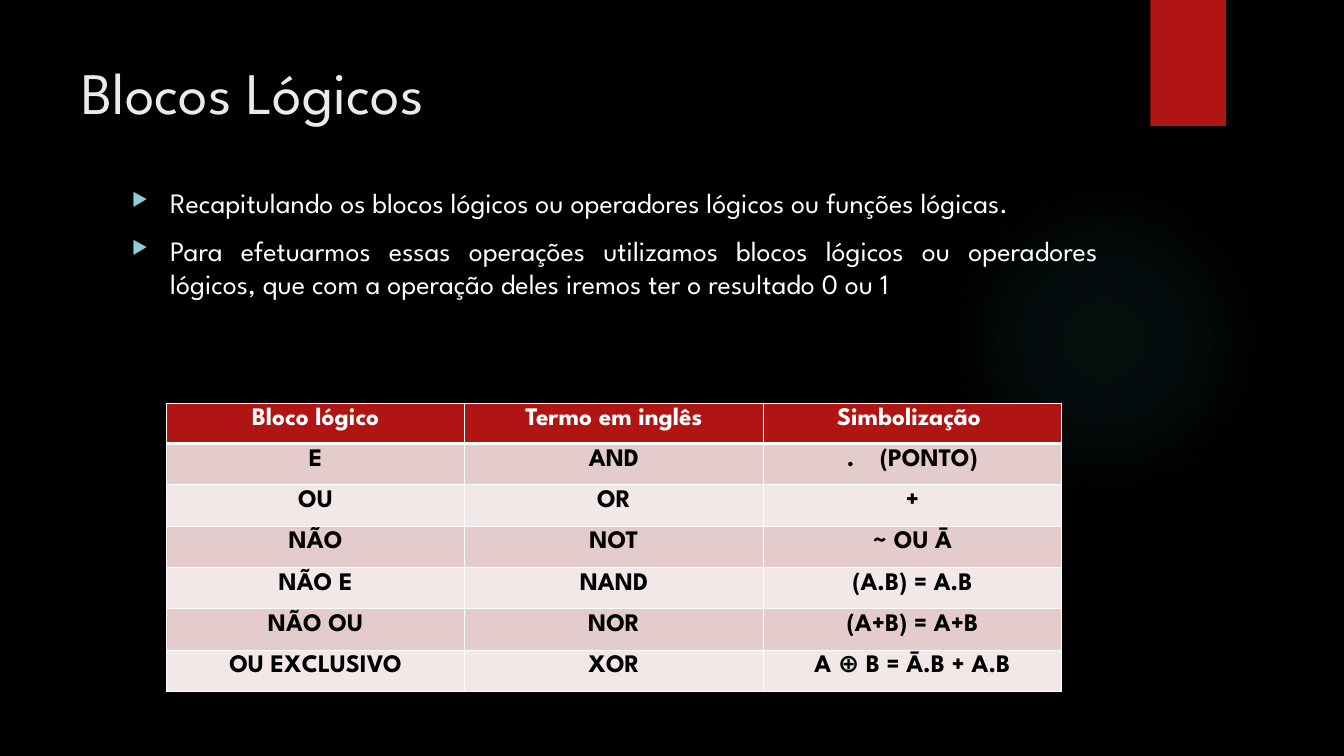
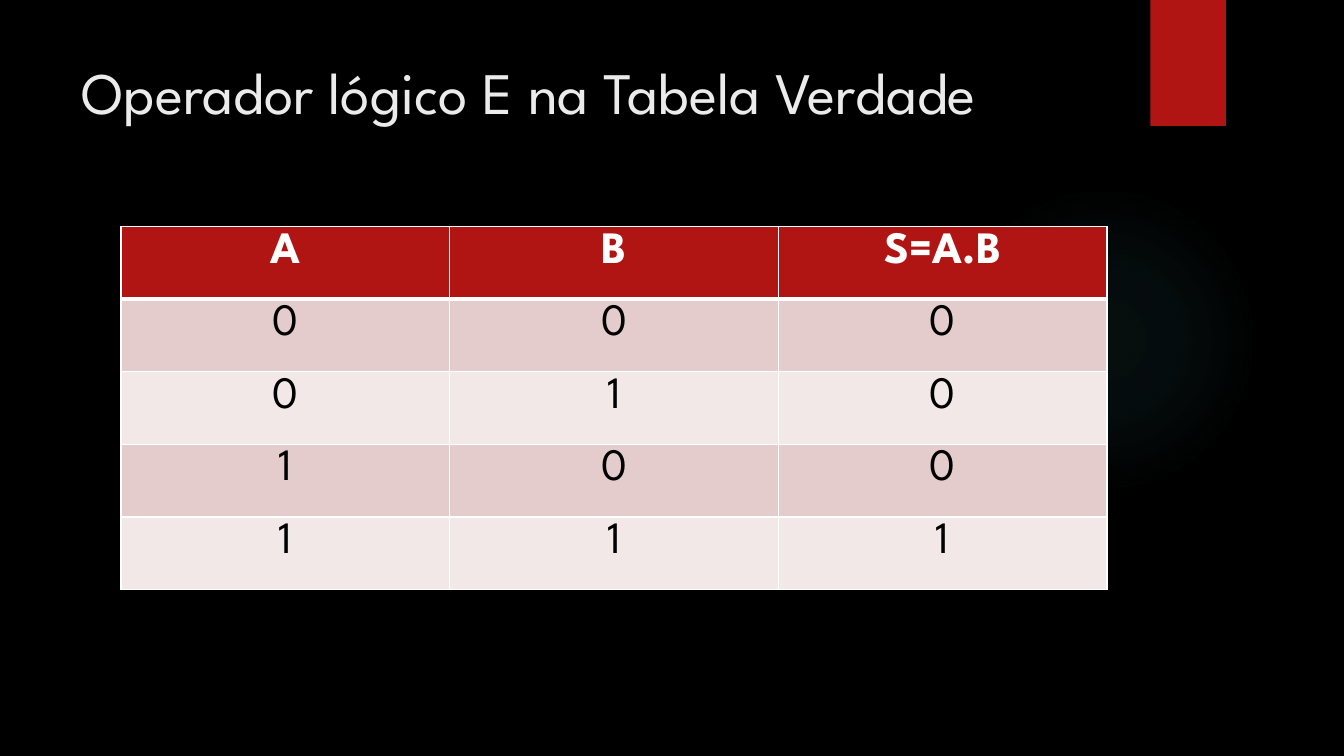
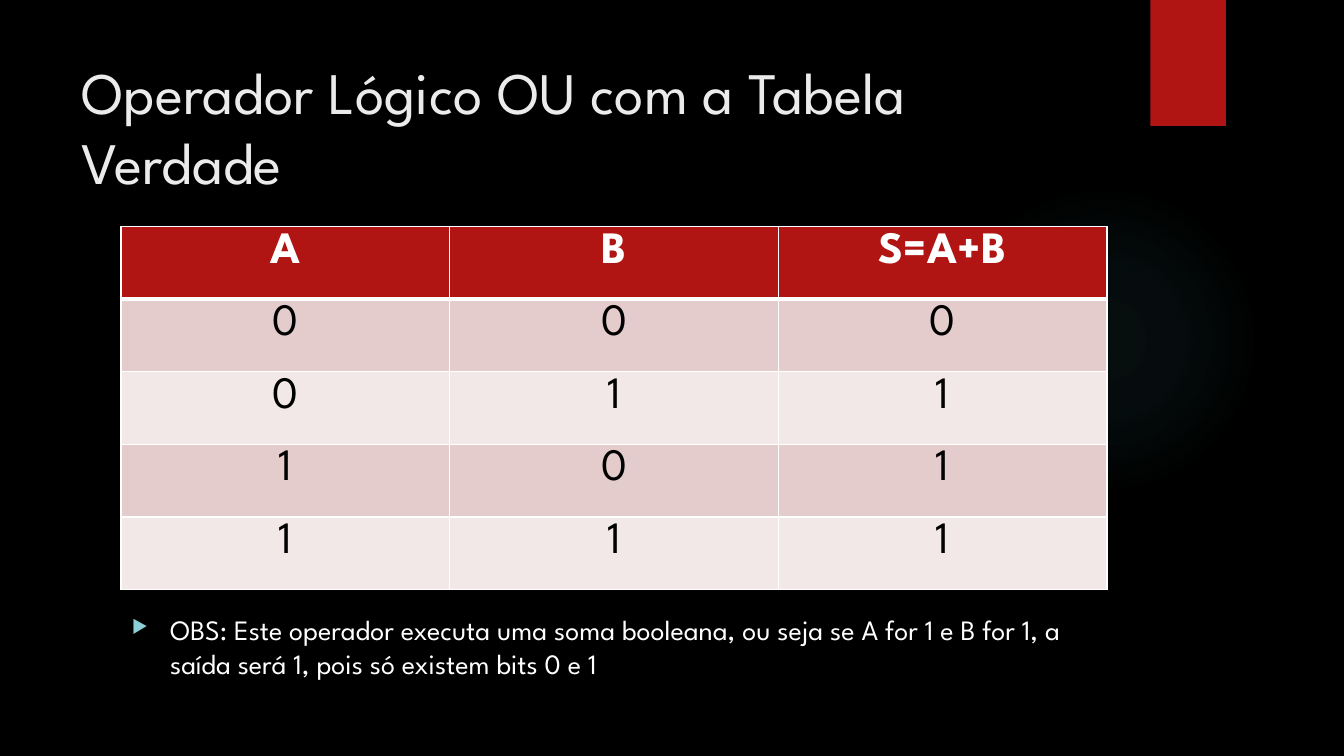
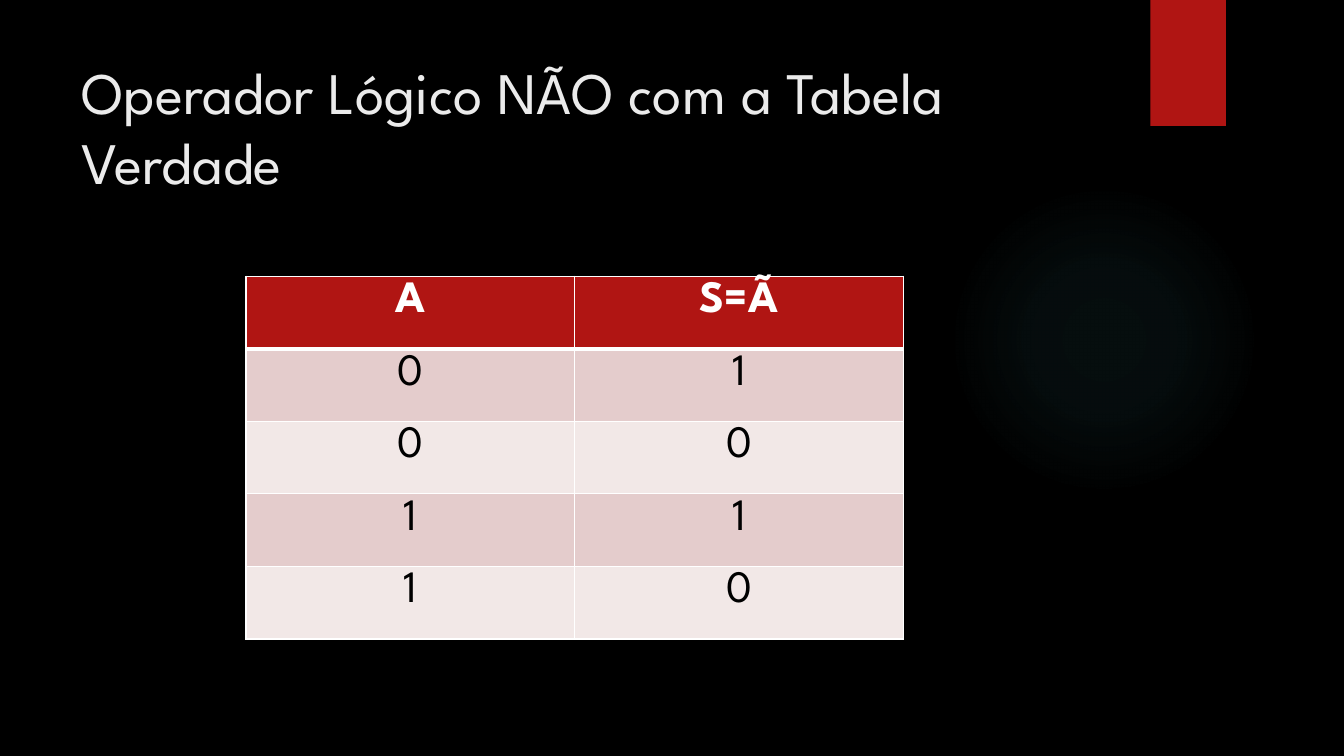
from pptx import Presentation
from pptx.dml.color import RGBColor
from pptx.enum.shapes import MSO_SHAPE
from pptx.enum.text import MSO_ANCHOR, PP_ALIGN
from pptx.oxml import parse_xml
from pptx.oxml.ns import nsdecls
from pptx.util import Inches, Pt

RECT, OVAL = MSO_SHAPE.RECTANGLE, MSO_SHAPE.OVAL
LEFT, CENTER, JUSTIFY = PP_ALIGN.LEFT, PP_ALIGN.CENTER, PP_ALIGN.JUSTIFY
TOP = MSO_ANCHOR.TOP

BLACK = RGBColor(0x00, 0x00, 0x00)
WHITE = RGBColor(0xFF, 0xFF, 0xFF)
PALE = RGBColor(0xEB, 0xEB, 0xEB)
RED = RGBColor(0xB0, 0x15, 0x13)
ROSE = RGBColor(0xE4, 0xCC, 0xCC)
BLUSH = RGBColor(0xF2, 0xE8, 0xE7)
TEAL = RGBColor(0x50, 0xB9, 0xC1)
AQUA = RGBColor(0x8A, 0xD0, 0xD6)

FONT = "League Spartan"
EM = chr(0x2003)  # em space
GLOW = ((0, 7), (36, 6), (69, 0))  # position and opacity, in percent

BLOCKS = [
    ("Bloco lógico", "Termo em inglês", "Simbolização "),
    ("E", "AND", f".{EM}(PONTO)"),
    ("OU", "OR", "+"),
    ("NÃO", "NOT", "~ OU Ā"),
    ("NÃO E", "NAND", "(A.B) = A.B"),
    ("NÃO OU", "NOR", "(A+B) = A+B"),
    ("OU EXCLUSIVO", "XOR", "A ⊕ B = Ā.B + A.B"),
]
AND = [("A", "B", "S=A.B"), "000", "010", "100", "111"]
OR = [("A", "B", "S=A+B"), "000", "011", "101", "111"]
NOT = [("A", "S=Ã"), "01", "00", "11", "10"]


def write(par, text, size, color, bold=False, **layout):
    """Add one run; layout holds paragraph attributes."""
    for key, value in layout.items():
        setattr(par, key, value)
    run = par.add_run()
    run.text = text
    for key, value in {"name": FONT, "size": Pt(size), "bold": bold}.items():
        setattr(run.font, key, value)
    run.font.color.rgb = color


def add_box(slide, left, top, width, height):
    frame = slide.shapes.add_textbox(*map(Inches, (left, top, width, height))).text_frame
    frame.word_wrap = True
    frame.vertical_anchor = TOP
    return frame


def add_plain(slide, kind, left, top, width, height):
    shape = slide.shapes.add_shape(kind, *map(Inches, (left, top, width, height)))
    shape.shadow.inherit = False
    shape.line.fill.background()
    return shape


def add_glow(slide):
    """Add the faint round light, a radial gradient that fades out."""
    oval = add_plain(slide, OVAL, 9.41, 1.83, 3.08, 3.08)
    stops = "".join(
        f'<a:gs pos="{pos * 1000}"><a:srgbClr val="{TEAL}">'
        f'<a:alpha val="{alpha * 1000}"/></a:srgbClr></a:gs>'
        for pos, alpha in GLOW)
    grad = parse_xml(
        f'<a:gradFill {nsdecls("a")}><a:gsLst>{stops}</a:gsLst><a:path path="circle">'
        '<a:fillToRect l="50000" t="50000" r="50000" b="50000"/></a:path></a:gradFill>')
    oval.fill.solid()
    props = oval.fill._xPr
    props.replace(props.find(grad.tag.replace("gradFill", "solidFill")), grad)


def add_slide(deck, title):
    slide = deck.slides.add_slide(deck.slide_layouts[6])
    fill = slide.background.fill
    fill.solid()
    fill.fore_color.rgb = BLACK
    add_glow(slide)
    band = add_plain(slide, RECT, 11.41, 0, 0.75, 1.25)
    band.fill.solid()
    band.fill.fore_color.rgb = RED
    frame = add_box(slide, 0.71, 0.5, 10.29, 1.53)
    write(frame.paragraphs[0], title, 42, PALE)
    return slide


def add_bullets(slide, top, height, lines, align):
    frame = add_box(slide, 1.21, top, 9.78, height)
    for i, line in enumerate(lines):
        par = frame.add_paragraph() if i else frame.paragraphs[0]
        write(par, line, 20, WHITE, alignment=align, space_before=Pt(10))
        props = par._p.get_or_add_pPr()
        props.set("marL", str(Inches(0.38)))
        props.set("indent", str(-Inches(0.38)))
        for mark in (f'buClr {nsdecls("a")}><a:srgbClr val="{AQUA}"/></a:buClr>',
                     f'buSzPct {nsdecls("a")} val="65000"/>',
                     f'buChar {nsdecls("a")} char="▶"/>'):
            props.append(parse_xml("<a:" + mark))


def add_edges(cell, top, bottom):
    """Draw white cell borders; top and bottom are widths in points."""
    props = cell._tc.get_or_add_tcPr()
    for side, width in {"L": 1, "R": 1, "T": top, "B": bottom}.items():
        props.append(parse_xml(
            f'<a:ln{side} {nsdecls("a")} w="{Pt(width)}"><a:solidFill>'
            f'<a:srgbClr val="{WHITE}"/></a:solidFill></a:ln{side}>'))


def add_grid(slide, rows, left, top, wide, head, high, size, bold=False):
    """Add a banded table; a head of 0 fits the header row to its text."""
    count = len(rows[0])
    total = high * len(rows)
    table = slide.shapes.add_table(
        len(rows), count, *map(Inches, (left, top, wide * count, total))).table
    table.first_row = table.horz_banding = False
    for col in table.columns:
        col.width = Inches(wide)
    for r, row in enumerate(rows):
        table.rows[r].height = Inches(high if r else head)
        for c, text in enumerate(row):
            cell = table.cell(r, c)
            add_edges(cell, 3 if r == 1 else 1, 1 if r else 3)
            cell.fill.solid()
            cell.fill.fore_color.rgb = (ROSE if r % 2 else BLUSH) if r else RED
            write(cell.text_frame.paragraphs[0], text, size, BLACK if r else WHITE,
                  bold or r == 0, alignment=CENTER)


def add_truth(slide, rows, left, top):
    add_grid(slide, rows, left, top, 3.26, 0.72, 0.72, 32)


def main():
    deck = Presentation()
    deck.slide_width, deck.slide_height = Inches(13.33), Inches(7.5)

    slide = add_slide(deck, "Blocos Lógicos")
    add_bullets(slide, 1.79, 1.5, [
        "Recapitulando os blocos lógicos ou operadores lógicos ou funções lógicas.",
        "Para efetuarmos essas operações utilizamos blocos lógicos ou operadores "
        "lógicos, que com a operação deles iremos ter o resultado 0 ou 1",
    ], JUSTIFY)
    add_grid(slide, BLOCKS, 1.65, 4, 2.96, 0, 0.41, 18, bold=True)

    slide = add_slide(deck, "Operador lógico E na Tabela Verdade")
    add_truth(slide, AND, 1.2, 2.25)

    slide = add_slide(deck, "Operador Lógico OU com a Tabela Verdade")
    add_bullets(slide, 6.03, 0.81, [
        "OBS: Este operador executa uma soma booleana, ou seja se A for 1 e B for 1, "
        "a saída será 1, pois só existem bits 0 e 1",
    ], LEFT)
    add_truth(slide, OR, 1.2, 2.25)

    slide = add_slide(deck, "Operador Lógico NÃO com a Tabela Verdade")
    add_truth(slide, NOT, 2.44, 2.74)

    deck.save("out.pptx")


if __name__ == "__main__":
    main()
